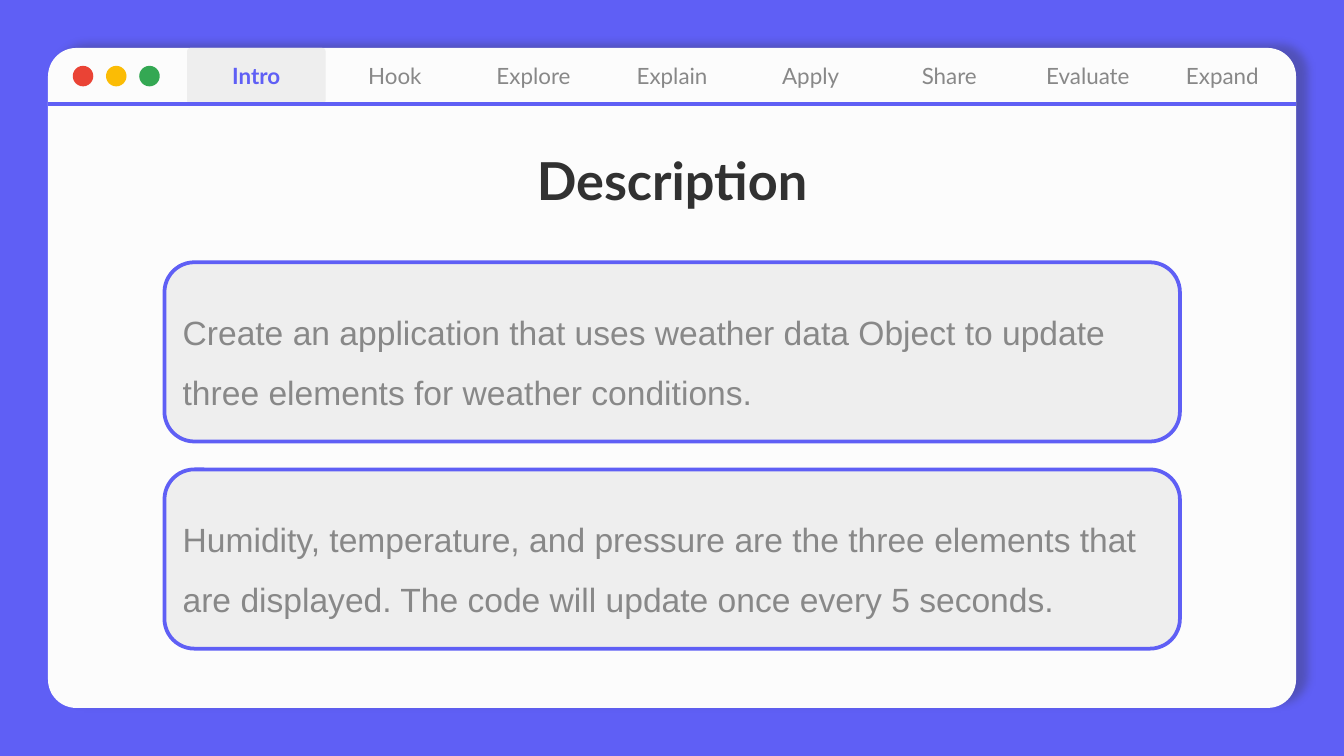
from dataclasses import dataclass
from typing import Optional

from lxml.etree import SubElement
from pptx import Presentation
from pptx.dml.color import RGBColor
from pptx.enum.shapes import MSO_CONNECTOR, MSO_SHAPE
from pptx.enum.text import MSO_ANCHOR, PP_ALIGN
from pptx.oxml import parse_xml
from pptx.oxml.ns import nsdecls, qn
from pptx.util import Pt

VIOLET = RGBColor(0x5F, 0x5F, 0xF5)
WHITE = RGBColor(0xFC, 0xFC, 0xFC)
PALE = RGBColor(0xEE, 0xEE, 0xEE)
GREY = RGBColor(0x88, 0x88, 0x88)
DARK = RGBColor(0x31, 0x31, 0x31)
RED = RGBColor(0xEA, 0x43, 0x35)
YELLOW = RGBColor(0xFB, 0xBC, 0x05)
GREEN = RGBColor(0x34, 0xA8, 0x53)

EDGE = 25.7
WINDOW_WIDTH, WINDOW_HEIGHT = 668.6, 353.6
TAB_LEFT, TAB_STEP, TAB_HEIGHT = 100.2, 74.25, 30
TABS = ("Intro", "Hook", "Explore", "Explain", "Apply", "Share", "Evaluate", "Expand")
DOT_LEFT, DOT_TOP, DOT_STEP, DOT_SIZE = 39, 35.3, 17.8, 11
CARD_LEFT, CARD_TOP, CARD_STEP = 88.1, 140.5, 111
CARD_WIDTH, CARD_HEIGHT, CARD_PADDING = 544, 96, 4.8
CARDS = (
    "Create an application that uses weather data Object to update "
    "three elements for weather conditions.",
    "Humidity, temperature, and pressure are the three elements that "
    "are displayed. The code will update once every 5 seconds.",
)


@dataclass
class Frame:
    """A rectangle in points."""
    left: float
    top: float
    width: float
    height: float

    def lengths(self) -> tuple:
        """Return the four sides as lengths."""
        return Pt(self.left), Pt(self.top), Pt(self.width), Pt(self.height)


@dataclass
class Style:
    """The look of one paragraph and its frame."""
    font: str
    size: float
    color: RGBColor
    bold: bool = False
    align: PP_ALIGN = PP_ALIGN.CENTER
    anchor: MSO_ANCHOR = MSO_ANCHOR.MIDDLE
    inset: float = 0
    spacing: float = 1.0


def add_panel(page, kind: MSO_SHAPE, frame: Frame, fill: Optional[RGBColor] = None,
              outline: Optional[RGBColor] = None, rounding: Optional[float] = None):
    """Add a preset shape without a shadow."""
    panel = page.shapes.add_shape(kind, *frame.lengths())
    panel.shadow.inherit = False
    if rounding is not None:
        panel.adjustments[0] = rounding
    if fill is None:
        panel.fill.background()
    else:
        panel.fill.solid()
        panel.fill.fore_color.rgb = fill
    if outline is None:
        panel.line.fill.background()
    else:
        panel.line.color.rgb = outline
        panel.line.width = Pt(2)
    return panel


def write(box, text: str, style: Style) -> None:
    """Write one styled paragraph into a box."""
    body = box.text_frame
    body.word_wrap = True
    body.vertical_anchor = style.anchor
    body.margin_left = body.margin_right = Pt(style.inset)
    body.margin_top = body.margin_bottom = Pt(style.inset)
    para = body.paragraphs[0]
    para.alignment = style.align
    para.line_spacing = style.spacing
    span = para.add_run()
    span.text = text
    span.font.name = style.font
    span.font.size = Pt(style.size)
    span.font.bold = style.bold
    span.font.color.rgb = style.color


def add_window(page) -> None:
    """Draw the browser window with its soft shadow."""
    frame = Frame(EDGE, EDGE, WINDOW_WIDTH, WINDOW_HEIGHT)
    window = add_panel(page, MSO_SHAPE.ROUNDED_RECTANGLE, frame, WHITE, rounding=0.043)
    effects = window._element.spPr.find(qn("a:effectLst"))
    effects.append(parse_xml(
        f'<a:outerShdw {nsdecls("a")} blurRad="{Pt(4.5)}" dist="{Pt(6)}" '
        f'dir="{342 * 60000}" algn="bl" rotWithShape="0">'
        f'<a:srgbClr val="{DARK}"><a:alpha val="30000"/></a:srgbClr></a:outerShdw>'))


def add_tabs(page) -> None:
    """Draw the row of tabs; the first is active, the last has a round corner."""
    for index, name in enumerate(TABS):
        active, last = index == 0, index == len(TABS) - 1
        kind = MSO_SHAPE.ROUND_1_RECTANGLE if last else MSO_SHAPE.ROUNDED_RECTANGLE
        frame = Frame(TAB_LEFT + index * TAB_STEP, EDGE, TAB_STEP, TAB_HEIGHT)
        tab = add_panel(page, kind, frame, PALE if active else None,
                        rounding=0.5 if last else 0.06)
        write(tab, name, Style("Lato", 12, VIOLET if active else GREY, bold=active,
                               inset=7.2 if last else 0))


def add_dots(page) -> None:
    """Draw the three window buttons."""
    for index, color in enumerate((RED, YELLOW, GREEN)):
        frame = Frame(DOT_LEFT + index * DOT_STEP, DOT_TOP, DOT_SIZE, DOT_SIZE)
        add_panel(page, MSO_SHAPE.OVAL, frame, color)


def add_rule(page) -> None:
    """Draw the line under the tabs."""
    height = Pt(EDGE + TAB_HEIGHT)
    rule = page.shapes.add_connector(MSO_CONNECTOR.STRAIGHT, Pt(EDGE), height,
                                     Pt(EDGE + WINDOW_WIDTH), height)
    rule.line.color.rgb = VIOLET
    rule.line.width = Pt(2.25)
    SubElement(rule._element.spPr, qn("a:effectLst"))


def add_text(page, frame: Frame, text: str, style: Style) -> None:
    """Add a text box with one paragraph."""
    write(page.shapes.add_textbox(*frame.lengths()), text, style)


def add_cards(page) -> None:
    """Draw the outlined cards with their text."""
    style = Style("Arial", 18, GREY, align=PP_ALIGN.LEFT, inset=5, spacing=1.5)
    for index, text in enumerate(CARDS):
        top = CARD_TOP + index * CARD_STEP
        add_panel(page, MSO_SHAPE.ROUNDED_RECTANGLE,
                  Frame(CARD_LEFT, top, CARD_WIDTH, CARD_HEIGHT), PALE, VIOLET)
        inner = Frame(CARD_LEFT + CARD_PADDING, top + CARD_PADDING,
                      CARD_WIDTH - 2 * CARD_PADDING, CARD_HEIGHT - 2 * CARD_PADDING)
        add_text(page, inner, text, style)


def main() -> None:
    """Build and save the deck."""
    deck = Presentation()
    deck.slide_width, deck.slide_height = Pt(720), Pt(405)
    page = deck.slides.add_slide(deck.slide_layouts[6])
    page.background.fill.solid()
    page.background.fill.fore_color.rgb = VIOLET
    add_window(page)
    add_tabs(page)
    add_dots(page)
    add_rule(page)
    add_text(page, Frame(56, 78.5, 608, 46.8), "Description",
             Style("Lato", 28, DARK, bold=True, anchor=MSO_ANCHOR.TOP,
                   inset=7.2, spacing=0.8))
    add_cards(page)
    deck.save("out.pptx")


main()
